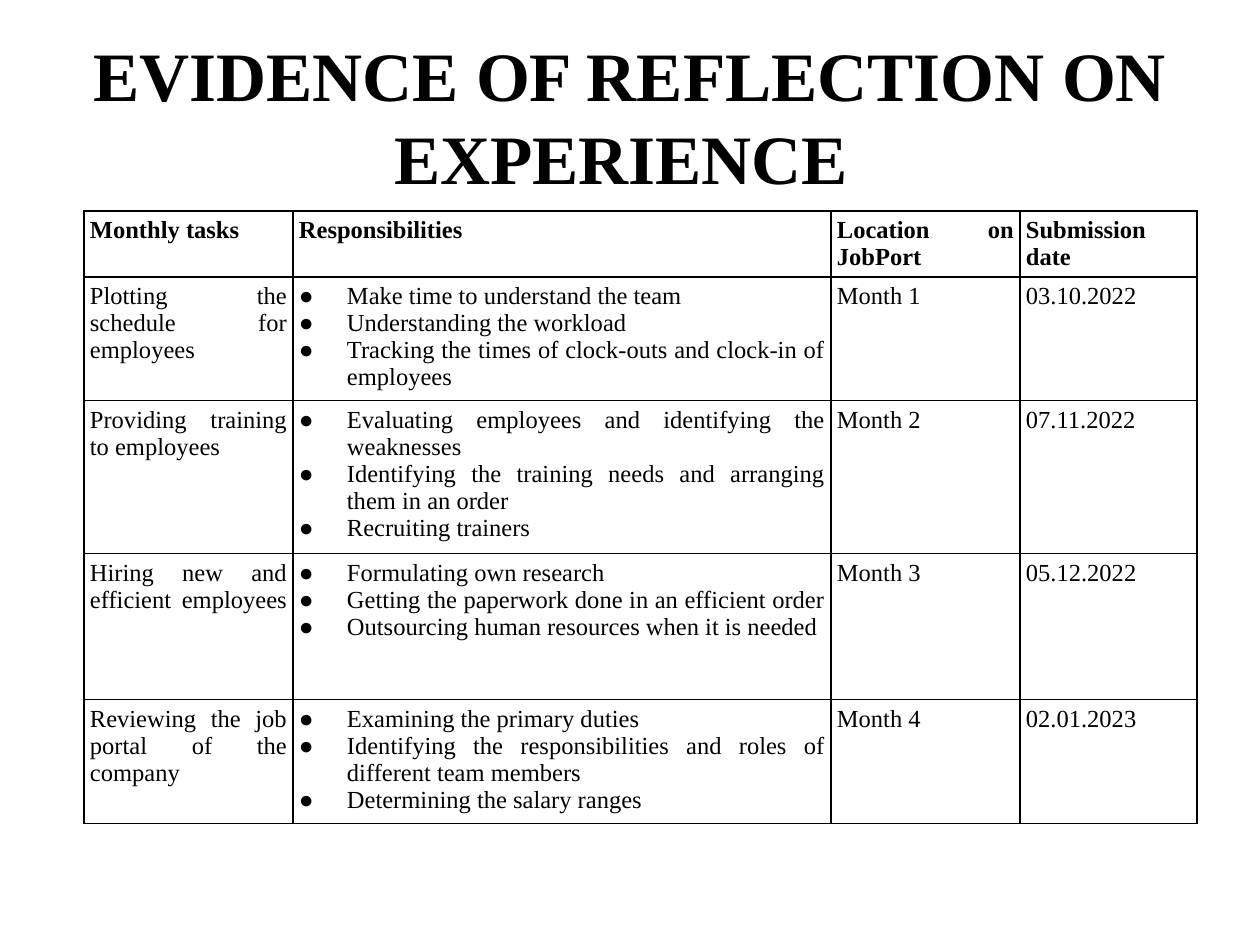
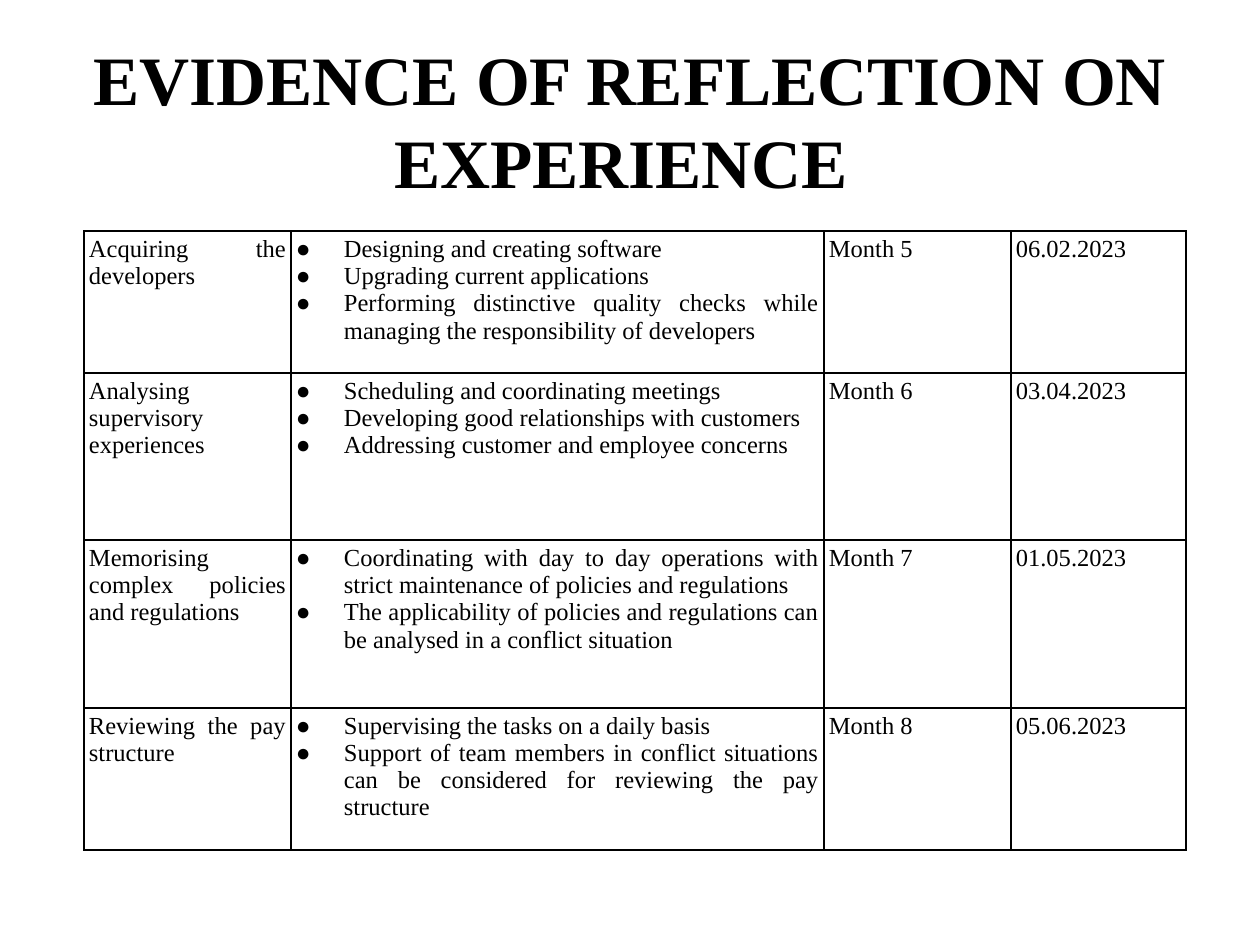
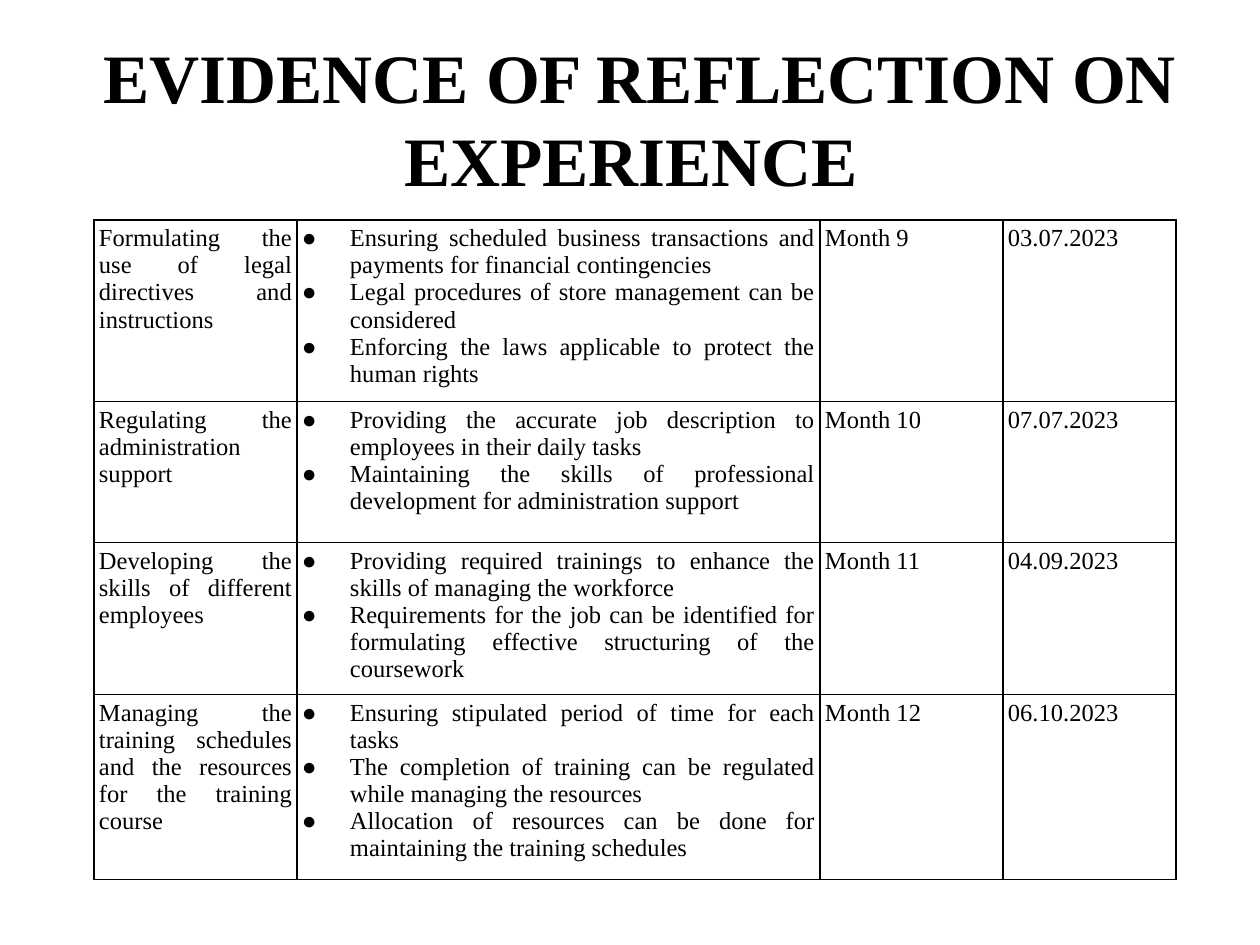
from dataclasses import dataclass

from lxml.etree import SubElement as Sub
from pptx import Presentation
from pptx.dml.color import RGBColor as RGB
from pptx.enum.text import MSO_ANCHOR as Anchor, PP_ALIGN as Align
from pptx.oxml.ns import qn
from pptx.util import Pt


@dataclass(frozen=True)
class Theme:
    font: str = "Times New Roman"
    ink: str = "000000"
    head: float = 39.6
    body: float = 14
    rule: float = 1
    dent: int = 48


THEME = Theme()
TITLE = "EVIDENCE OF REFLECTION ON EXPERIENCE "
HEADS = ("Monthly tasks", "Responsibilities", "Location on JobPort", "Submission date")

FIRST = [
    ("Plotting the schedule for employees",
     ["Make time to understand the team",
      "Understanding the workload",
      "Tracking the times of clock-outs and clock-in of employees"],
     "Month 1", "03.10.2022"),
    ("Providing training to employees",
     ["Evaluating employees and identifying the weaknesses",
      "Identifying the training needs and arranging them in an order",
      "Recruiting trainers"],
     "Month 2", "07.11.2022"),
    ("Hiring new and efficient employees ",
     ["Formulating own research",
      "Getting the paperwork done in an efficient order ",
      "Outsourcing human resources when it is needed"],
     "Month 3", "05.12.2022"),
    ("Reviewing the job portal of the company",
     ["Examining the primary duties",
      "Identifying the responsibilities and roles of different team members",
      "Determining the salary ranges"],
     "Month 4", "02.01.2023"),
]
SECOND = [
    ("Acquiring the developers",
     ["Designing and creating software",
      "Upgrading current applications",
      "Performing distinctive quality checks while managing the responsibility of developers"],
     "Month 5", "06.02.2023"),
    ("Analysing supervisory experiences",
     ["Scheduling and coordinating meetings",
      "Developing good relationships with customers",
      "Addressing customer and employee concerns"],
     "Month 6", "03.04.2023"),
    ("Memorising complex policies and regulations",
     ["Coordinating with day to day operations with strict maintenance of policies and regulations",
      "The applicability of policies and regulations can be analysed in a conflict situation"],
     "Month 7", "01.05.2023"),
    ("Reviewing the pay structure",
     ["Supervising the tasks on a daily basis",
      "Support of team members in conflict situations can be considered for reviewing the pay structure"],
     "Month 8", "05.06.2023"),
]
THIRD = [
    ("Formulating the use of legal directives and instructions",
     ["Ensuring scheduled business transactions and payments for financial contingencies",
      "Legal procedures of store management can be considered",
      "Enforcing the laws applicable to protect the human rights"],
     "Month 9", "03.07.2023"),
    ("Regulating the administration support",
     ["Providing the accurate job description to employees in their daily tasks",
      "Maintaining the skills of professional development for administration support"],
     "Month 10", "07.07.2023"),
    ("Developing the skills of different employees",
     ["Providing required trainings to enhance the skills of managing the workforce",
      "Requirements for the job can be identified for formulating effective structuring of the coursework"],
     "Month 11", "04.09.2023"),
    ("Managing the training schedules and the resources for the training course",
     ["Ensuring stipulated period of time for each tasks",
      "The completion of training can be regulated while managing the resources",
      "Allocation of resources can be done for maintaining the training schedules"],
     "Month 12", "06.10.2023"),
]


def px(size):
    return size * 914400 // 126


def bullet(para):
    props = para._p.get_or_add_pPr()
    props.set("marL", str(px(THEME.dent)))
    props.set("indent", str(-px(THEME.dent)))
    Sub(props, qn("a:buFont")).set("typeface", THEME.font)
    Sub(props, qn("a:buChar")).set("char", "●")


def write(frame, lines, size=THEME.body, bold=False, align=Align.JUSTIFY, dots=False):
    frame.word_wrap = True
    for pos, line in enumerate(lines):
        para = frame.add_paragraph() if pos else frame.paragraphs[0]
        para.alignment = align
        if dots:
            bullet(para)
        run = para.add_run()
        run.text = line
        font = run.font
        font.name, font.size, font.bold = THEME.font, Pt(size), bold
        font.color.rgb = RGB.from_string(THEME.ink)


def border(cell):
    props = cell._tc.get_or_add_tcPr()
    for side in ("lnL", "lnR", "lnT", "lnB"):
        line = Sub(props, qn(f"a:{side}"), w=str(Pt(THEME.rule)))
        Sub(Sub(line, qn("a:solidFill")), qn("a:srgbClr"), val=THEME.ink)


def title(slide, left, top, high, inset):
    frame = slide.shapes.add_textbox(px(left), px(top), px(1134), px(high)).text_frame
    frame.margin_top, frame.margin_bottom = px(inset), 0
    frame.vertical_anchor = Anchor.TOP
    write(frame, [TITLE], size=THEME.head, bold=True, align=Align.CENTER)


def grid(slide, left, top, cols, highs, rows, pad):
    box = slide.shapes.add_table(len(rows), len(cols), px(left), px(top),
                                 px(sum(cols)), px(sum(highs)))
    table = box.table
    table.first_row = table.horz_banding = False
    for col, wide in zip(table.columns, cols):
        col.width = px(wide)
    for row, high, data in zip(table.rows, highs, rows):
        row.height = px(high)
        for cell, item in zip(row.cells, data):
            cell.margin_left = cell.margin_right = cell.margin_top = px(pad)
            cell.margin_bottom = 0
            border(cell)
            cell.fill.background()
            dots = isinstance(item, list)
            write(cell.text_frame, item if dots else [item], bold=data is HEADS, dots=dots)


def main():
    deck = Presentation()
    deck.slide_width, deck.slide_height = px(1260), px(945)
    pages = [
        ((63, 32, 236, 0),
         (84, 211, (209, 538, 189, 177), (66, 120, 147, 146, 120), [HEADS, *FIRST], 6)),
        ((63, 28, 183, 8),
         (84, 231, (207, 533, 187, 175), (142, 167, 168, 142), SECOND, 5)),
        ((73, 34, 158, 0),
         (94, 220, (203, 523, 183, 173), (172, 141, 144, 185), THIRD, 5)),
    ]
    for head, body in pages:
        slide = deck.slides.add_slide(deck.slide_layouts[6])
        title(slide, *head)
        grid(slide, *body)
    deck.save("out.pptx")


if __name__ == "__main__":
    main()
